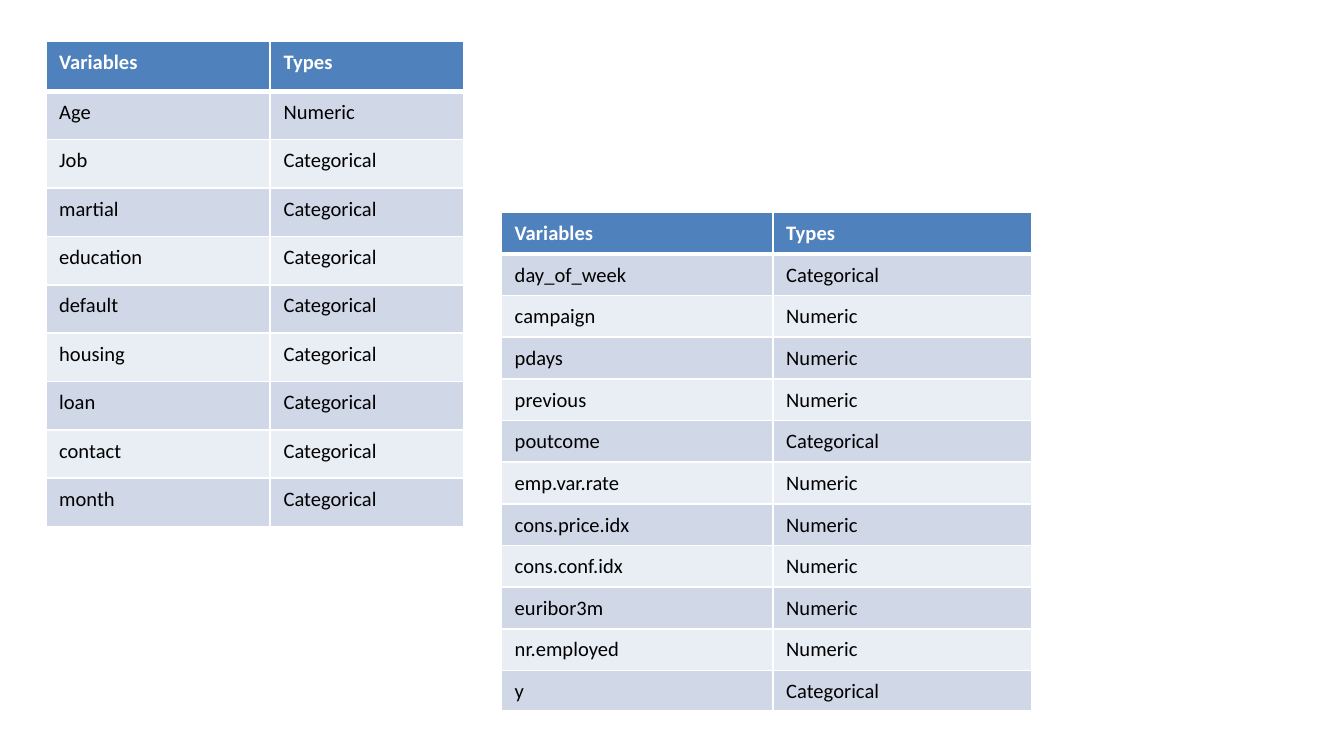
from lxml.etree import SubElement as Sub
from pptx import Presentation
from pptx.dml.color import RGBColor as RGB
from pptx.oxml.ns import qn
from pptx.util import Inches, Pt

HUES = {"head": "4F81BD", "odd": "D0D8E8", "even": "E9EDF4",
        "white": "FFFFFF", "black": "000000"}
KINDS = {"N": "Numeric", "C": "Categorical"}

client = [("Age", "N"), ("Job", "C"), ("martial", "C"), ("education", "C"),
          ("default", "C"), ("housing", "C"), ("loan", "C"),
          ("contact", "C"), ("month", "C")]
market = [("day_of_week", "C"), ("campaign", "N"), ("pdays", "N"),
          ("previous", "N"), ("poutcome", "C"), ("emp.var.rate", "N"),
          ("cons.price.idx", "N"), ("cons.conf.idx", "N"),
          ("euribor3m", "N"), ("nr.employed", "N"), ("y", "C")]
grids = [
    (client, 0.34, 0.31, [1.67, 1.44], [0.37] + [0.36] * 9),
    (market, 3.73, 1.58, [2.02, 1.93], [0.31] * 11 + [0.18]),
]


def edge(cell, **sides):
    props = cell._tc.get_or_add_tcPr()
    for side, width in sides.items():
        line = Sub(props, qn("a:ln" + side), w=str(Pt(width)))
        paint = Sub(line, qn("a:solidFill"))
        Sub(paint, qn("a:srgbClr"), val=HUES["white"])


def write(cell, text, hue="black", fill="odd", bold=False, base=1):
    edge(cell, L=1, R=1, T=1, B=base)
    cell.fill.solid()
    cell.fill.fore_color.rgb = RGB.from_string(HUES[fill])
    para = cell.text_frame.paragraphs[0]
    para.line_spacing = 1.07
    para.space_after = Pt(8)
    run = para.add_run()
    run.text = text
    font = run.font
    font.name, font.size, font.bold = "Calibri", Pt(11), bold
    font.color.rgb = RGB.from_string(HUES[hue])


deck = Presentation()
deck.slide_width, deck.slide_height = Inches(10), Inches(10 * 9 / 16)
slide = deck.slides.add_slide(deck.slide_layouts[6])

for items, left, top, widths, heights in grids:
    frame = slide.shapes.add_table(
        len(heights), len(widths), Inches(left), Inches(top),
        Inches(sum(widths)), Inches(sum(heights)))
    table = frame.table
    for col, width in zip(table.columns, widths):
        col.width = Inches(width)
    for row, height in zip(table.rows, heights):
        row.height = Inches(height)
    for c, text in enumerate(["Variables", "Types"]):
        write(table.cell(0, c), text, hue="white", fill="head",
              bold=True, base=3)
    for r, (name, kind) in enumerate(items, 1):
        band = "odd" if r % 2 else "even"
        for c, text in enumerate([name, KINDS[kind]]):
            write(table.cell(r, c), text, fill=band, base=1)

deck.save("out.pptx")
